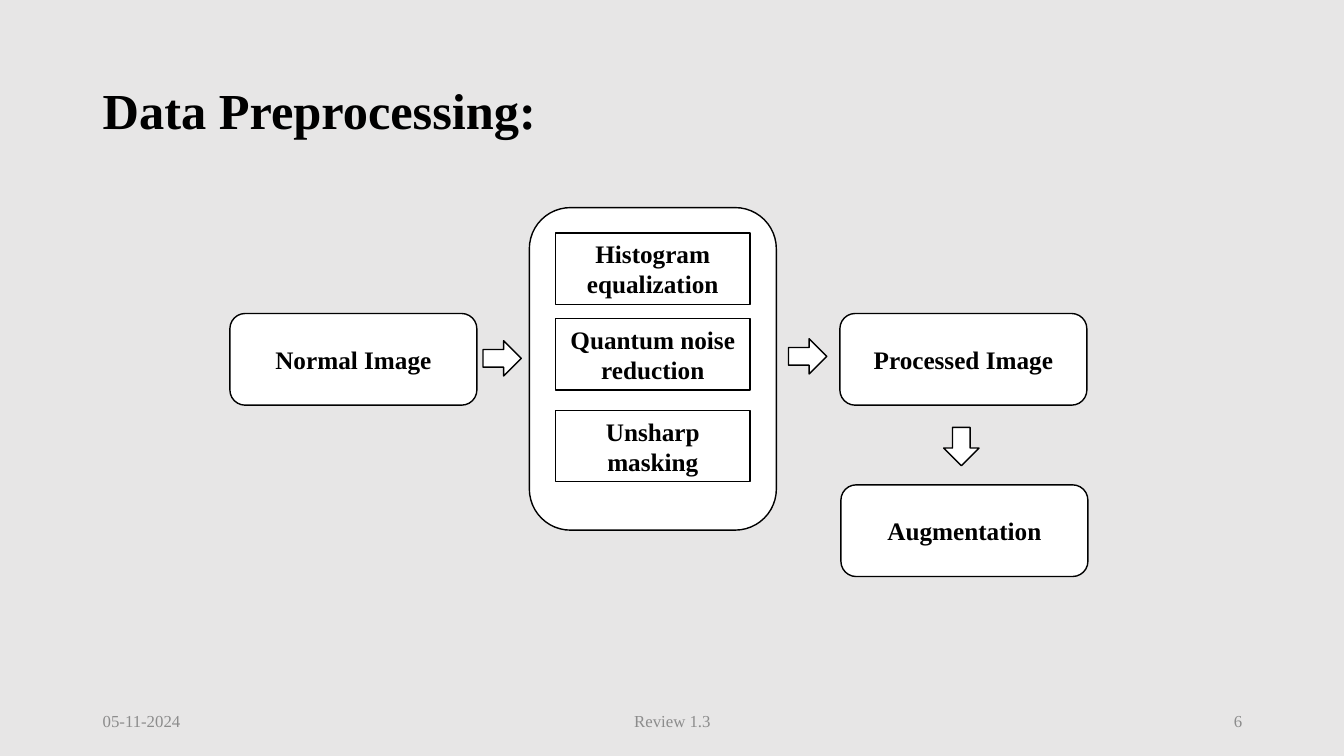
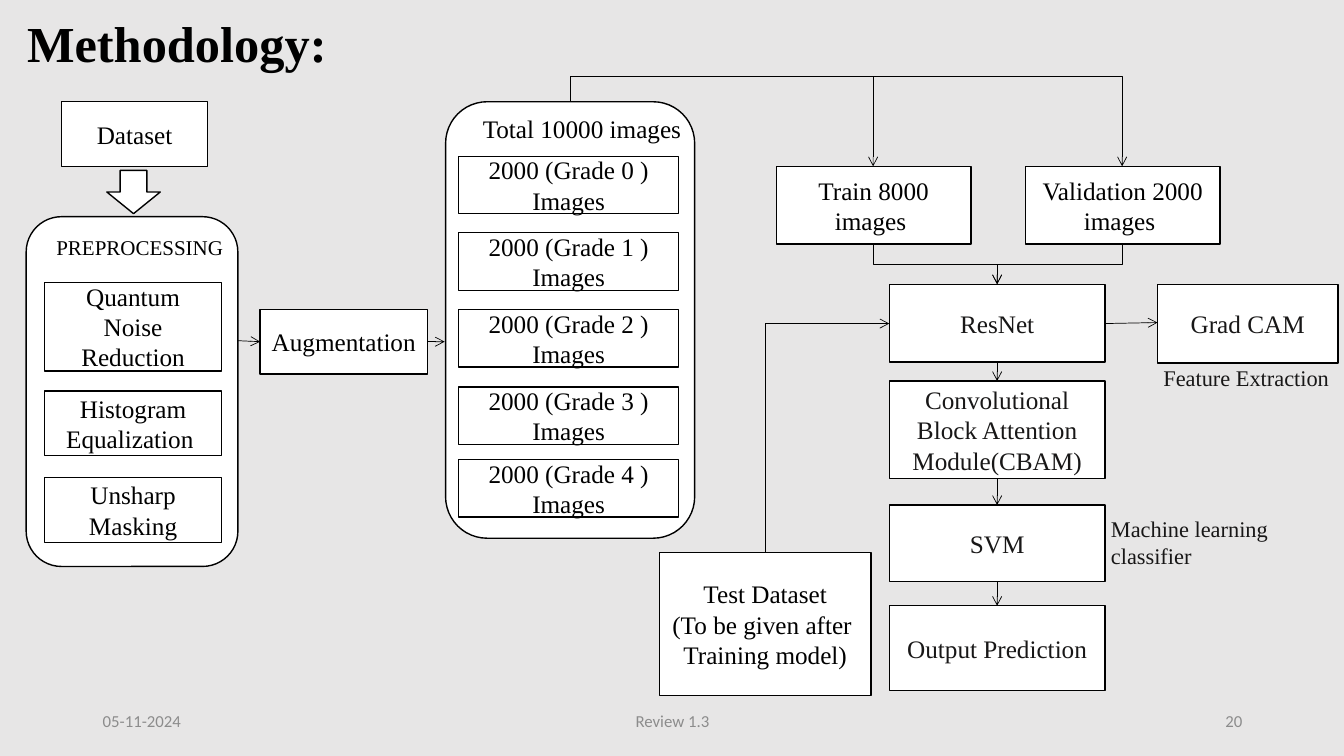
from pptx import Presentation
from pptx.dml.color import RGBColor
from pptx.enum.shapes import MSO_CONNECTOR as LINK, MSO_SHAPE as KIND
from pptx.enum.text import MSO_ANCHOR, PP_ALIGN as ALIGN
from pptx.oxml import parse_xml
from pptx.oxml.ns import nsdecls, qn
from pptx.util import Pt

PX = 9144  # EMU in one px, 100 px to the inch
HUES = {"back": "E7E6E6", "fill": "FFFFFF", "ink": "000000",
        "soft": "181717", "foot": "8C8C8C"}
SERIF = "Times New Roman"


def hue(name):
    return RGBColor.from_string(HUES[name])


def box(page, at, text="", kind=KIND.RECTANGLE, size=18, bold=False,
        ink="ink", face=SERIF, align=ALIGN.CENTER, lead=None):
    """Add a white outlined shape, or a bare text box when kind is None."""
    at = [n * PX for n in at]
    if kind is None:
        shape = page.shapes.add_textbox(*at)
    else:
        shape = page.shapes.add_shape(kind, *at)
        shape.shadow.inherit = False
        shape.fill.solid()
        shape.fill.fore_color.rgb = hue("fill")
        shape.line.color.rgb = hue("ink")
        shape.line.width = Pt(1)
    frame = shape.text_frame
    frame.word_wrap = True
    frame.vertical_anchor = MSO_ANCHOR.MIDDLE
    frame.text = text
    for para in frame.paragraphs:
        para.alignment = align
        para.line_spacing = lead
        font = para.font
        font.name, font.size, font.bold = face, Pt(size), bold
        font.color.rgb = hue(ink)


deck = Presentation()
deck.slide_width, deck.slide_height = 1333 * PX, 750 * PX
back = deck.slide_master.background.fill
back.solid()
back.fore_color.rgb = hue("back")

# Title and footer of both slides
heads = [("Data Preprocessing:", (92, 40, 1150, 145), "6", SERIF),
         ("Methodology:", (17, 13, 441, 66), "20", "Calibri")]
pages = []
for title, at, num, face in heads:
    page = deck.slides.add_slide(deck.slide_layouts[6])
    pages.append(page)
    box(page, at, title, None, 36, True, align=ALIGN.LEFT, lead=0.9)
    for x, w, text, align in [(92, 300, "05-11-2024", ALIGN.LEFT),
                              (442, 450, "Review 1.3", ALIGN.CENTER),
                              (942, 300, num, ALIGN.RIGHT)]:
        box(page, (x, 695, w, 40), text, None, 12, ink="foot",
            face=face, align=align)
prep, flow = pages

# Data preprocessing
box(prep, (525, 206, 245, 320), kind=KIND.ROUNDED_RECTANGLE)
for y, text in [(231, "Histogram equalization"),
                (316, "Quantum noise reduction"),
                (407, "Unsharp masking")]:
    box(prep, (551, y, 193, 71), text, bold=True)
for x, y, text in [(228, 311, "Normal Image"),
                   (833, 311, "Processed Image"),
                   (834, 481, "Augmentation")]:
    box(prep, (x, y, 245, 91), text, KIND.ROUNDED_RECTANGLE, bold=True)
for x, y in [(479, 338), (782, 336)]:
    box(prep, (x, y, 38, 35), kind=KIND.RIGHT_ARROW)
box(prep, (936, 424, 35, 38), kind=KIND.DOWN_ARROW)

# Methodology: panels and boxes
for at in [(26, 215, 210, 347), (442, 101, 247, 433)]:
    box(flow, at, kind=KIND.ROUNDED_RECTANGLE)
box(flow, (106, 169, 53, 43), kind=KIND.DOWN_ARROW)
for grade, y in enumerate([155, 231, 307, 384, 456]):
    box(flow, (455, y, 218, 57), f"2000 (Grade {grade} ) Images")
for y, h, text in [(280, 88, "Quantum Noise Reduction"),
                   (388, 64, "Histogram Equalization "),
                   (474, 64, "Unsharp Masking")]:
    box(flow, (44, y, 176, h), text)
for at, text in [
        ((61, 101, 145, 64), "Dataset"),
        ((258, 307, 166, 64), "Augmentation"),
        ((770, 165, 193, 77), "Train 8000 images "),
        ((1017, 165, 193, 77), "Validation 2000 images "),
        ((654, 548, 210, 142),
         "Test Dataset\n(To be given after \nTraining model)")]:
    box(flow, at, text)
for y, h, text in [(282, 77, "ResNet"),
                   (378, 97, "Convolutional Block Attention Module(CBAM)"),
                   (501, 76, "SVM"),
                   (601, 84, "Output Prediction")]:
    box(flow, (882, y, 214, h), text, ink="soft")
box(flow, (1148, 282, 179, 78), "Grad CAM", ink="soft")

# Methodology: labels
for at, text, size, ink in [
        ((469, 107, 230, 40), "Total 10000 images", 18, "ink"),
        ((46, 228, 192, 35), "PREPROCESSING", 15, "ink"),
        ((1092, 506, 179, 64), "Machine learning\nclassifier", 16, "soft"),
        ((1144, 356, 195, 37), "Feature Extraction", 16, "soft")]:
    box(flow, at, text, None, size, ink=ink, align=ALIGN.LEFT)

# Methodology: arrows as start, end, preset and bend (share of the way)
STEP, TURN = "bentConnector3", "bentConnector2"
links = [((989, 359), (989, 378), None, None),
         ((989, 475), (989, 501), None, None),
         ((989, 577), (989, 601), None, None),
         ((1096, 321), (1148, 320), None, None),
         ((236, 338), (258, 339), None, None),
         ((424, 339), (441, 339), None, None),
         ((566, 101), (866, 165), STEP, -0.39),
         ((566, 101), (1113, 165), STEP, -0.39),
         ((866, 242), (989, 282), STEP, 0.5),
         ((1113, 242), (989, 282), STEP, 0.5),
         ((759, 548), (882, 321), TURN, None)]
for (x1, y1), (x2, y2), form, bend in links:
    ends = (x1, y1, x2, y2)
    if form:
        # An elbow leaves sideways, so lay it flat and turn it upright
        side = 1 if x2 > x1 else -1
        mx, my = (x1 + x2) / 2, (y1 + y2) / 2
        dx, dy = side * (y1 - y2) / 2, side * (x2 - x1) / 2
        ends = (mx - dx, my - dy, mx + dx, my + dy)
    line = flow.shapes.add_connector(LINK.ELBOW if form else LINK.STRAIGHT,
                                     *[round(n * PX) for n in ends])
    line.line.color.rgb = hue("ink")
    line.line.width = Pt(0.5)
    props = line._element.spPr
    props.find(qn("a:ln")).append(
        parse_xml(f'<a:tailEnd {nsdecls("a")} type="arrow"/>'))
    props.append(parse_xml(f'<a:effectLst {nsdecls("a")}/>'))
    if form:
        props.find(qn("a:xfrm")).set("rot", str((270 if side > 0 else 90) * 60000))
        geom = props.find(qn("a:prstGeom"))
        geom.set("prst", form)
    if bend is not None:
        geom.find(qn("a:avLst")).append(parse_xml(
            f'<a:gd {nsdecls("a")} name="adj1" fmla="val {round(bend * 100000)}"/>'))

deck.save("out.pptx")
